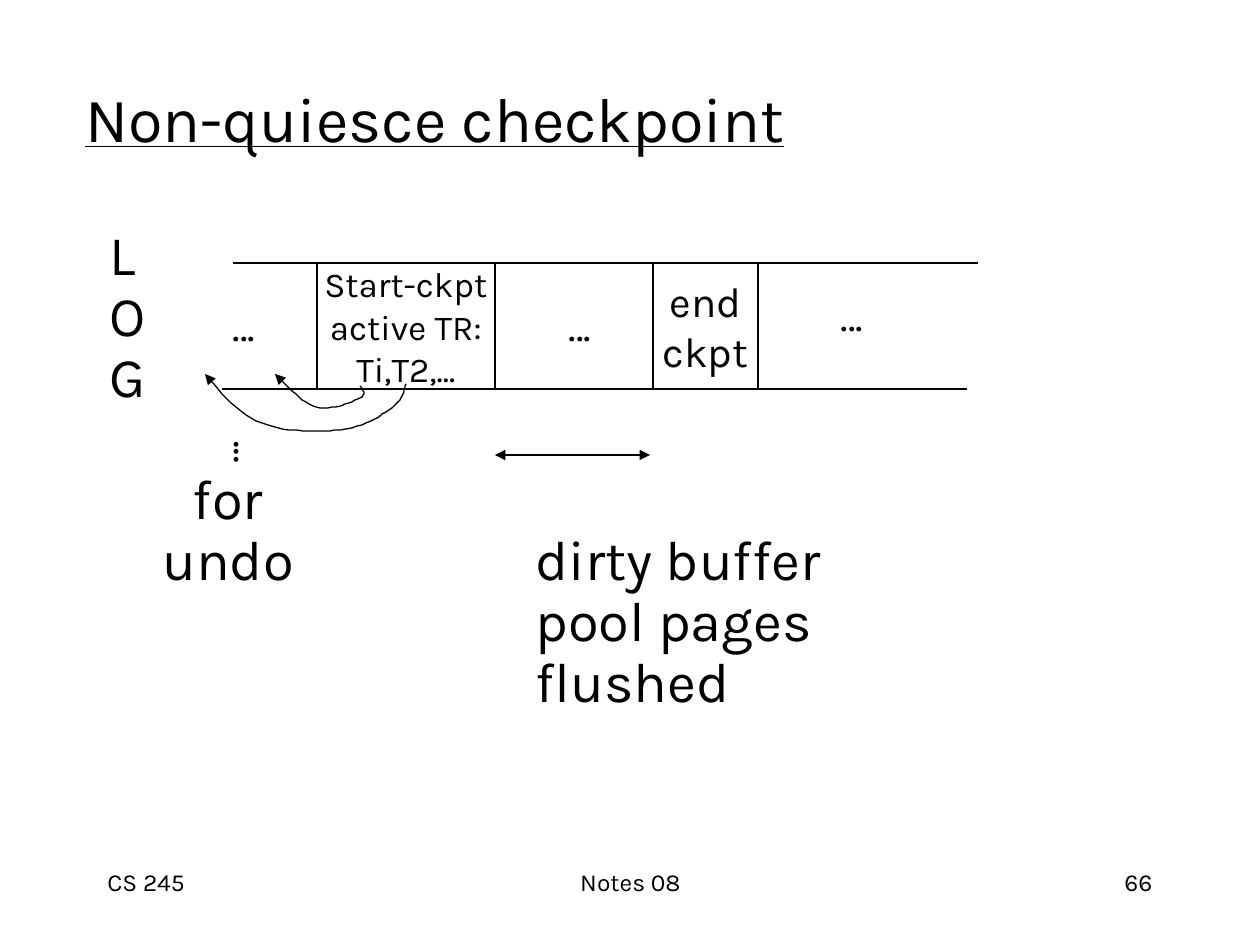
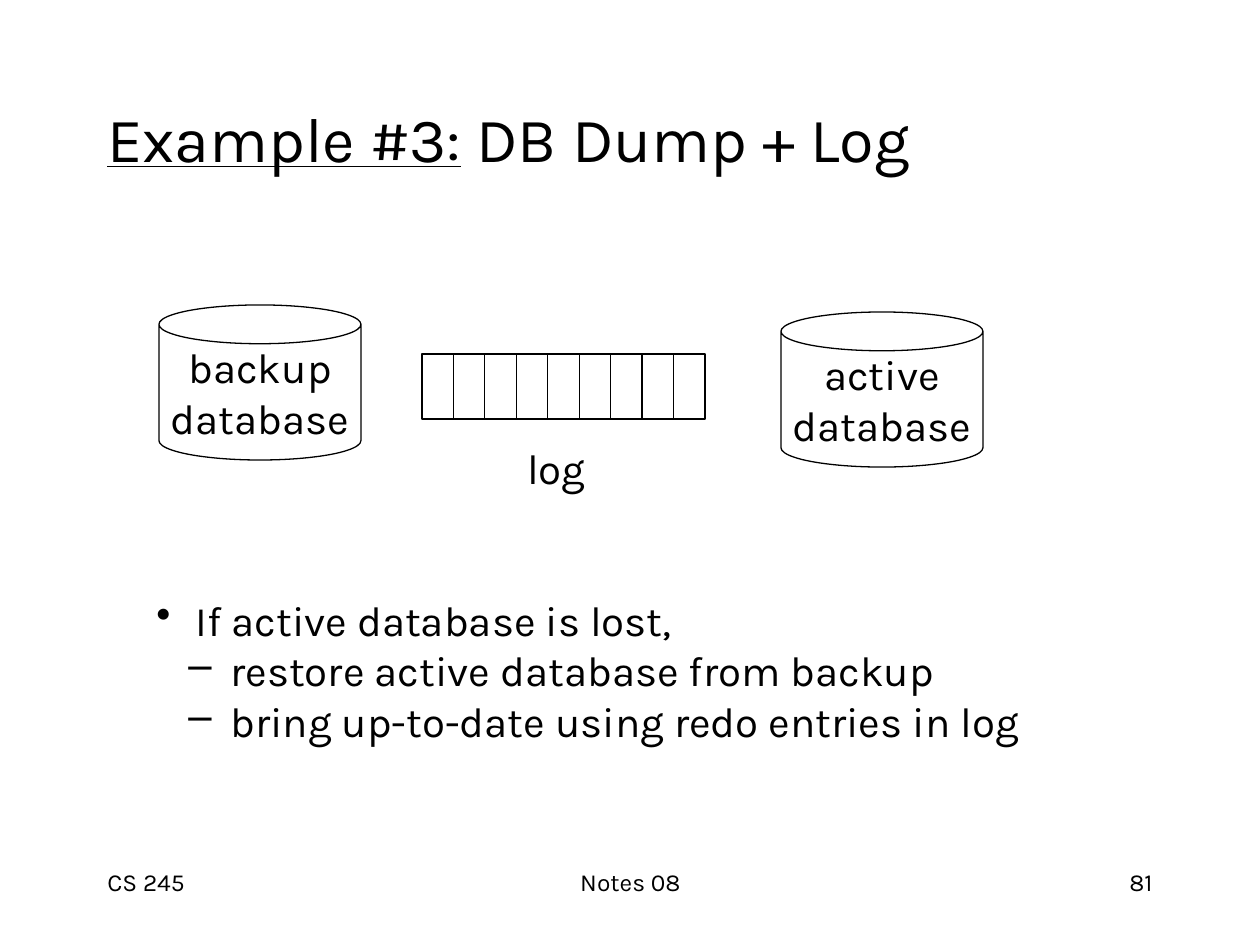
from lxml.etree import SubElement as Sub
from pptx import Presentation
from pptx.dml.color import RGBColor
from pptx.enum.shapes import MSO_CONNECTOR as Link, MSO_SHAPE as Kind
from pptx.enum.text import MSO_ANCHOR as Anchor, PP_ALIGN as Align
from pptx.oxml.ns import qn
from pptx.util import Pt

PX = 914400 / 126
SIZE = (1260, 945)
FONT = "Karla"
HEX = {"ink": "000000", "paper": "FFFFFF"}
LEFT, MID, RIGHT = Align.LEFT, Align.CENTER, Align.RIGHT

# Shared footer: left, width, alignment
FOOT_TOP, FOOT_HIGH = 861, 63
FEET = [(95, 262, LEFT), (431, 399, MID), (903, 262, RIGHT)]
COURSE, NOTES = "CS 245", "Notes 08"

# Checkpoint slide
LOG_TOP, LOG_LOW = 263, 389
CELLS = [  # left, right, text, size
    (317, 495, "Start-ckpt\nactive TR:\nTi,T2,...", 20),
    (495, 653, "", 24),
    (653, 758, "end\nckpt", 24),
]
RAILS = [(758, 978), (233, 453)]  # top edge; the low edge sits a little left
RAIL_SHIFT = 11
DOTS = [(852, 315, 0), (580, 325, 0), (244, 325, 0), (222, 452, 270)]  # centre, turn
NOTE_TOP, NOTE_STEP = 232, 61
WORDS = [  # left, width, line, alignment, text
    (97, 80, 0, LEFT, "L\nO\nG"),
    (148, 160, 4, MID, "for\nundo"),
    (523, 420, 5, LEFT, "dirty buffer\npool pages\nflushed"),
]
FLUSH = (495, 455, 650, 455)
CURVES = [  # start, then two handles and an end for each bend
    [(360, 386), (363, 389), (367, 394), (360, 398), (353, 402), (330, 411),
     (316, 407), (302, 403), (289, 388), (275, 374)],
    [(406, 384), (404, 392), (402, 401), (392, 408), (381, 416), (363, 427),
     (341, 430), (320, 432), (286, 433), (262, 423), (239, 415), (222, 394),
     (205, 374)],
]

# Dump slide
CANS = [(159, 305, "backup\ndatabase"), (781, 312, "active\ndatabase")]
CAN_SIZE = (202, 155)
STRIP = (422, 354, 283, 65)
SLOTS = 9
STEPS = [  # bullet, text indent, hang, text
    ("•", 39, 39, "If active database is lost,"),
    ("–", 74, 42, "restore active database from backup"),
    ("–", 74, 42, "bring up-to-date using redo entries in log"),
]


def emu(*vals):
    return [round(v * PX) for v in vals]


def tint(name):
    return RGBColor.from_string(HEX[name])


def style(run, size, under=False):
    font = run.font
    font.name, font.size, font.underline = FONT, Pt(size), under
    font.color.rgb = tint("ink")


def write(shape, text, size, align=LEFT, anchor=Anchor.TOP, wrap=True):
    frame = shape.text_frame
    frame.text = text
    frame.word_wrap, frame.vertical_anchor = wrap, anchor
    for para in frame.paragraphs:
        para.alignment = align
        for run in para.runs:
            style(run, size)
    return frame


def label(slide, box, text, size, align=LEFT, anchor=Anchor.TOP, wrap=True):
    shape = slide.shapes.add_textbox(*emu(*box))
    write(shape, text, size, align, anchor, wrap)
    return shape


def block(slide, kind, box, text="", size=24):
    """Add an outlined white shape with centred text."""
    shape = slide.shapes.add_shape(kind, *emu(*box))
    shape.shadow.inherit = False
    shape.fill.solid()
    shape.fill.fore_color.rgb = tint("paper")
    pen(shape.line)
    write(shape, text, size, MID, Anchor.MIDDLE, False)


def pen(line, *tips):
    """Set a thin ink line, with arrow tips at headEnd or tailEnd."""
    line.width = Pt(0.75)
    line.color.rgb = tint("ink")
    for tip in tips:
        Sub(line._get_or_add_ln(), qn("a:" + tip), type="triangle")


def rule(slide, ends, *tips):
    link = slide.shapes.add_connector(Link.STRAIGHT, *emu(*ends))
    pen(link.line, *tips)
    Sub(link._element.spPr, qn("a:effectLst"))


def trace(knots, count=12):
    """Yield points along a chain of cubic bends."""
    for i in range(0, len(knots) - 1, 3):
        bend = knots[i:i + 4]
        for n in range(1, count + 1):
            t = n / count
            mix = ((1 - t) ** 3, 3 * t * (1 - t) ** 2, 3 * t * t * (1 - t), t ** 3)
            yield tuple(sum(m * p[k] for m, p in zip(mix, bend)) for k in (0, 1))


def swoop(slide, knots):
    path = slide.shapes.build_freeform(*knots[0], scale=PX)
    path.add_line_segments(list(trace(knots)), close=False)
    shape = path.convert_to_shape()
    shape.shadow.inherit = False
    shape.fill.background()
    pen(shape.line, "tailEnd")


def start(deck, page, box, under, rest=""):
    """Add a slide with its footer and a title that is underlined in part."""
    slide = deck.slides.add_slide(deck.slide_layouts[6])
    for (left, wide, align), text in zip(FEET, (COURSE, NOTES, page)):
        label(slide, (left, FOOT_TOP, wide, FOOT_HIGH), text, 14, align)
    title = label(slide, box, under, 36, anchor=Anchor.MIDDLE)
    para = title.text_frame.paragraphs[0]
    para.runs[0].font.underline = True
    if rest:
        run = para.add_run()
        run.text = rest
        style(run, 36)
    return slide


def checkpoint(deck):
    slide = start(deck, "66", (73, 54, 1071, 127), "Non-quiesce checkpoint")
    for left, wide, line, align, text in WORDS:
        high = NOTE_STEP * (text.count("\n") + 1)
        box = (left, NOTE_TOP + line * NOTE_STEP, wide, high)
        for para in label(slide, box, text, 32, align).text_frame.paragraphs:
            para.line_spacing, para.space_before = 0.7, Pt(8)
    for left, right, text, size in CELLS:
        box = (left, LOG_TOP, right - left, LOG_LOW - LOG_TOP)
        block(slide, Kind.RECTANGLE, box, text, size)
    for x1, x2 in RAILS:
        rule(slide, (x1, LOG_TOP, x2, LOG_TOP))
        rule(slide, (x1 - RAIL_SHIFT, LOG_LOW, x2 - RAIL_SHIFT, LOG_LOW))
    for x, y, turn in DOTS:
        box = (x - 30, y - 32, 60, 64)
        label(slide, box, "...", 24, MID, Anchor.MIDDLE, False).rotation = turn
    rule(slide, FLUSH, "headEnd", "tailEnd")
    for knots in CURVES:
        swoop(slide, knots)


def dump(deck):
    slide = start(deck, "81", (95, 84, 1071, 107), "Example #3:", " DB Dump + Log")
    for left, top, text in CANS:
        block(slide, Kind.CAN, (left, top, *CAN_SIZE), text)
    block(slide, Kind.RECTANGLE, STRIP)
    left, top, wide, high = STRIP
    for n in range(1, SLOTS):
        x = left + n * wide / SLOTS
        rule(slide, (x, top, x, top + high))
    label(slide, (513, 436, 87, 63), "log", 24, MID, Anchor.MIDDLE, False)
    text = "\n".join(step[-1] for step in STEPS)
    notes = label(slide, (144, 588, 935, 164), text, 24, anchor=Anchor.MIDDLE)
    for para, (mark, indent, hang, _) in zip(notes.text_frame.paragraphs, STEPS):
        props = para._p.get_or_add_pPr()
        near, back = emu(indent, -hang)
        props.set("marL", str(near))
        props.set("indent", str(back))
        Sub(props, qn("a:buChar"), char=mark)


def main():
    deck = Presentation()
    deck.slide_width, deck.slide_height = emu(*SIZE)
    checkpoint(deck)
    dump(deck)
    deck.save("out.pptx")


if __name__ == "__main__":
    main()
